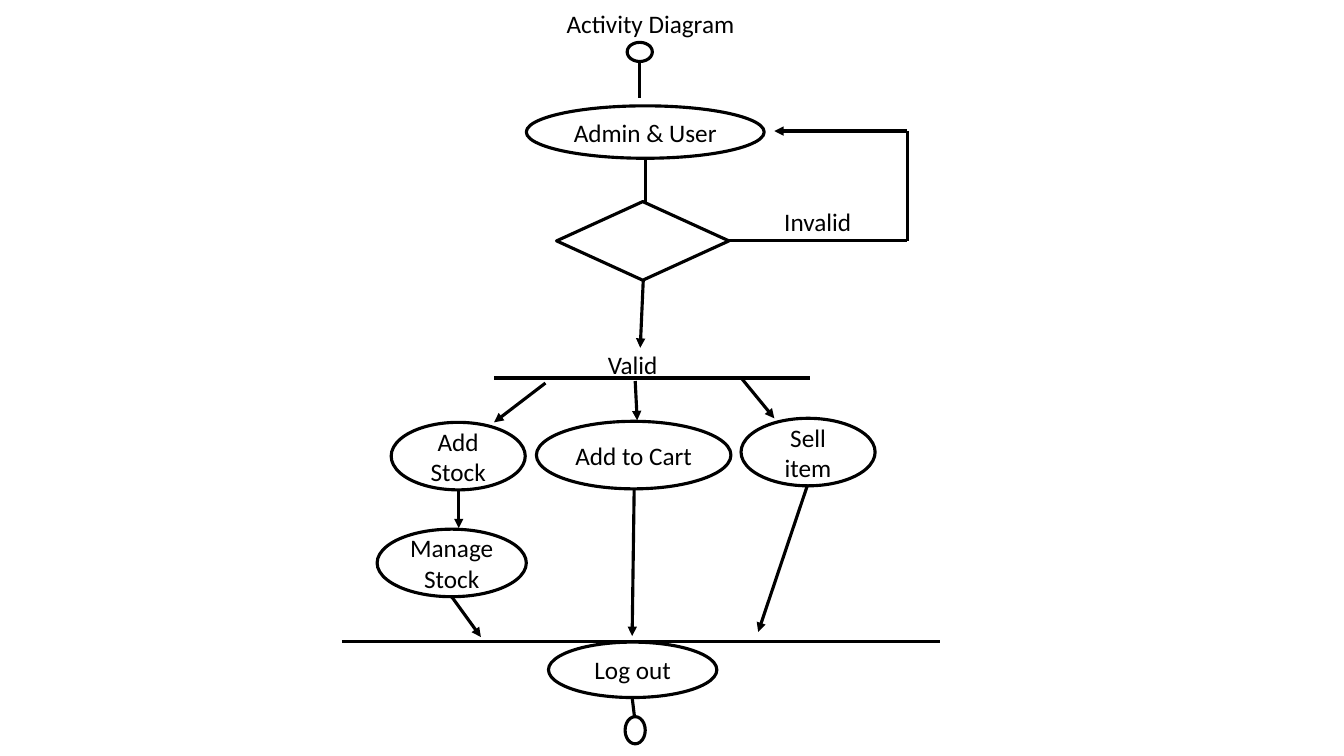
from lxml import etree
from pptx import Presentation
from pptx.dml.color import RGBColor
from pptx.enum.shapes import MSO_CONNECTOR, MSO_SHAPE
from pptx.enum.text import MSO_ANCHOR, MSO_AUTO_SIZE, PP_ALIGN
from pptx.oxml.ns import qn
from pptx.util import Inches, Pt

ELLIPSE, DIAMOND = MSO_SHAPE.OVAL, MSO_SHAPE.DIAMOND
STRAIGHT = MSO_CONNECTOR.STRAIGHT
LEFT, CENTER = PP_ALIGN.LEFT, PP_ALIGN.CENTER
TOP, MIDDLE = MSO_ANCHOR.TOP, MSO_ANCHOR.MIDDLE
NO_AUTOFIT = MSO_AUTO_SIZE.NONE

COLORS = {"ink": "000000", "paper": "FFFFFF"}
FONT, TEXT_SIZE, LINE_WIDTH = "Calibri", Pt(18), Pt(2.25)

# Boxes are left, top, width, height in inches
TITLE = ("Activity Diagram", (5.52, 0.03, 1.88, 0.4))
LABELS = [
    ("Valid", (5.93, 3.42, 0.7, 0.4)),
    ("Invalid", (7.68, 2, 0.87, 0.4)),
]
NODES = [
    (ELLIPSE, "", (6.22, 0.42, 0.25, 0.19)),
    (ELLIPSE, "Admin & User", (5.22, 1.05, 2.36, 0.52)),
    (DIAMOND, "", (5.52, 2, 1.71, 0.78)),
    (ELLIPSE, "Add Stock", (3.88, 4.19, 1.33, 0.67)),
    (ELLIPSE, "Add to Cart", (5.32, 4.18, 1.93, 0.67)),
    (ELLIPSE, "Sell item", (7.35, 4.15, 1.33, 0.67)),
    (ELLIPSE, "Manage Stock", (3.74, 5.25, 1.48, 0.67)),
    (ELLIPSE, "Log out", (5.44, 6.37, 1.67, 0.55)),
    (ELLIPSE, "", (6.2, 7.11, 0.2, 0.27)),
]

# Paths are lists of points joined by straight lines
PLAIN_PATHS = [
    [(6.34, 0.97), (6.34, 0.61)],
    [(6.4, 1.56), (6.4, 2.68)],
    [(4.9, 3.75), (8.03, 3.75)],
    [(3.39, 6.36), (9.32, 6.36)],
    [(6.27, 6.92), (6.3, 7.17)],
]
ARROW_PATHS = [
    [(6.38, 2.78), (6.35, 3.45)],
    [(5.41, 3.8), (4.9, 4.19)],
    [(6.3, 3.78), (6.32, 4.17)],
    [(7.36, 3.76), (7.68, 4.15)],
    [(4.55, 4.85), (4.55, 5.24)],
    [(4.48, 5.92), (4.77, 6.32)],
    [(6.29, 4.85), (6.27, 6.31)],
    [(8.01, 4.81), (7.52, 6.27)],
    [(7.23, 2.39), (9, 2.39), (9, 1.3), (7.68, 1.3)],
]


def color(name):
    return RGBColor.from_string(COLORS[name])


def inches(values):
    return [Inches(value) for value in values]


def style_line(line):
    line.color.rgb = color("ink")
    line.width = LINE_WIDTH


def write_text(shape, text, alignment, anchor, wrap):
    frame = shape.text_frame
    frame.auto_size = NO_AUTOFIT
    frame.word_wrap = wrap
    frame.vertical_anchor = anchor
    paragraph = frame.paragraphs[0]
    paragraph.alignment = alignment
    run = paragraph.add_run()
    run.text = text
    run.font.name = FONT
    run.font.size = TEXT_SIZE
    run.font.color.rgb = color("ink")


def add_path(slide, points, arrow):
    """Join the points with connectors; an arrowhead goes on the last one."""
    for start, end in zip(points, points[1:]):
        connector = slide.shapes.add_connector(STRAIGHT, *inches(start + end))
        style_line(connector.line)
        if arrow and end == points[-1]:
            head = etree.SubElement(connector.line._get_or_add_ln(), qn("a:tailEnd"))
            head.set("type", "triangle")
        etree.SubElement(connector._element.spPr, qn("a:effectLst"))


def add_node(slide, kind, text, box):
    shape = slide.shapes.add_shape(kind, *inches(box))
    shape.shadow.inherit = False
    shape.fill.solid()
    shape.fill.fore_color.rgb = color("paper")
    style_line(shape.line)
    if text:
        write_text(shape, text, CENTER, MIDDLE, True)


def set_title(slide, text, box):
    title = slide.shapes.title
    title.left, title.top, title.width, title.height = inches(box)
    write_text(title, text, LEFT, TOP, False)


def main():
    presentation = Presentation()
    presentation.slide_width = Inches(13.33)
    presentation.slide_height = Inches(7.5)
    slide = presentation.slides.add_slide(presentation.slide_layouts.get_by_name("Title Only"))
    set_title(slide, *TITLE)
    for points in PLAIN_PATHS:
        add_path(slide, points, arrow=False)
    for points in ARROW_PATHS:
        add_path(slide, points, arrow=True)
    for node in NODES:
        add_node(slide, *node)
    for text, box in LABELS:
        label = slide.shapes.add_textbox(*inches(box))
        write_text(label, text, LEFT, TOP, False)
    presentation.save("out.pptx")


if __name__ == "__main__":
    main()
